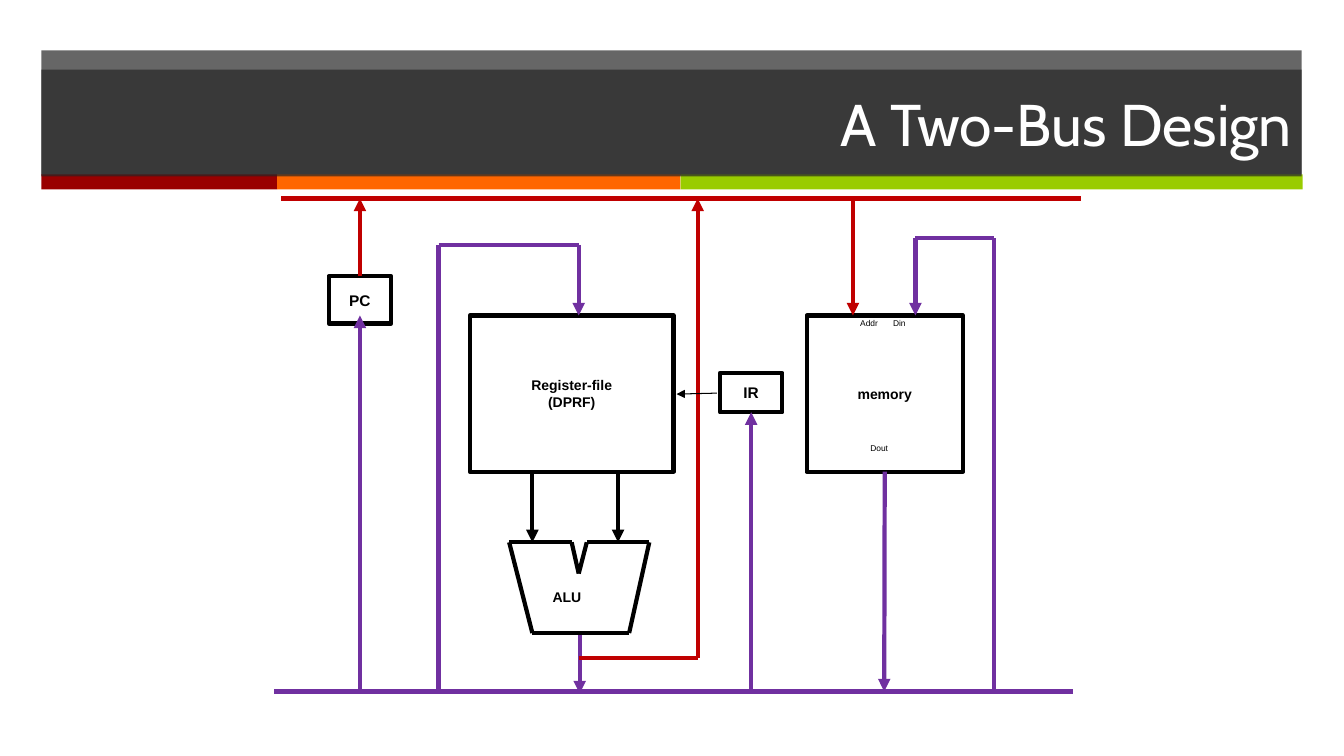
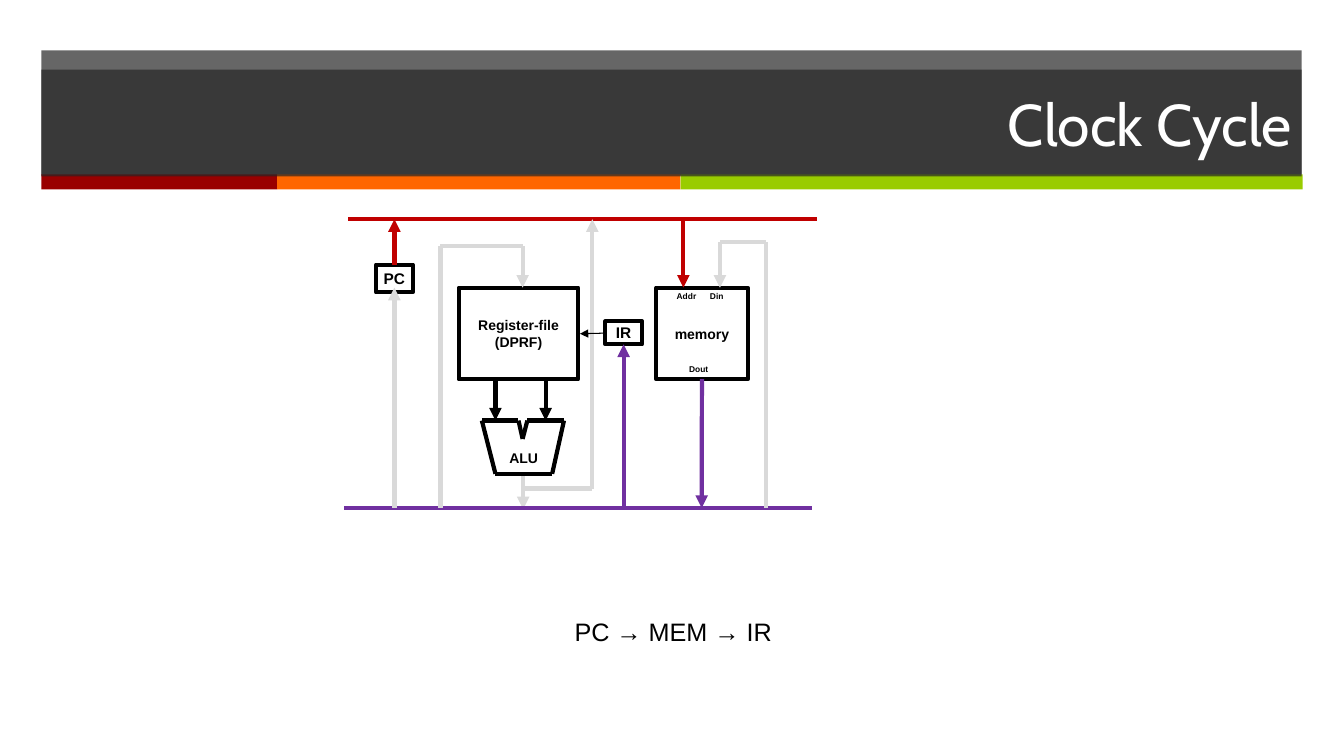
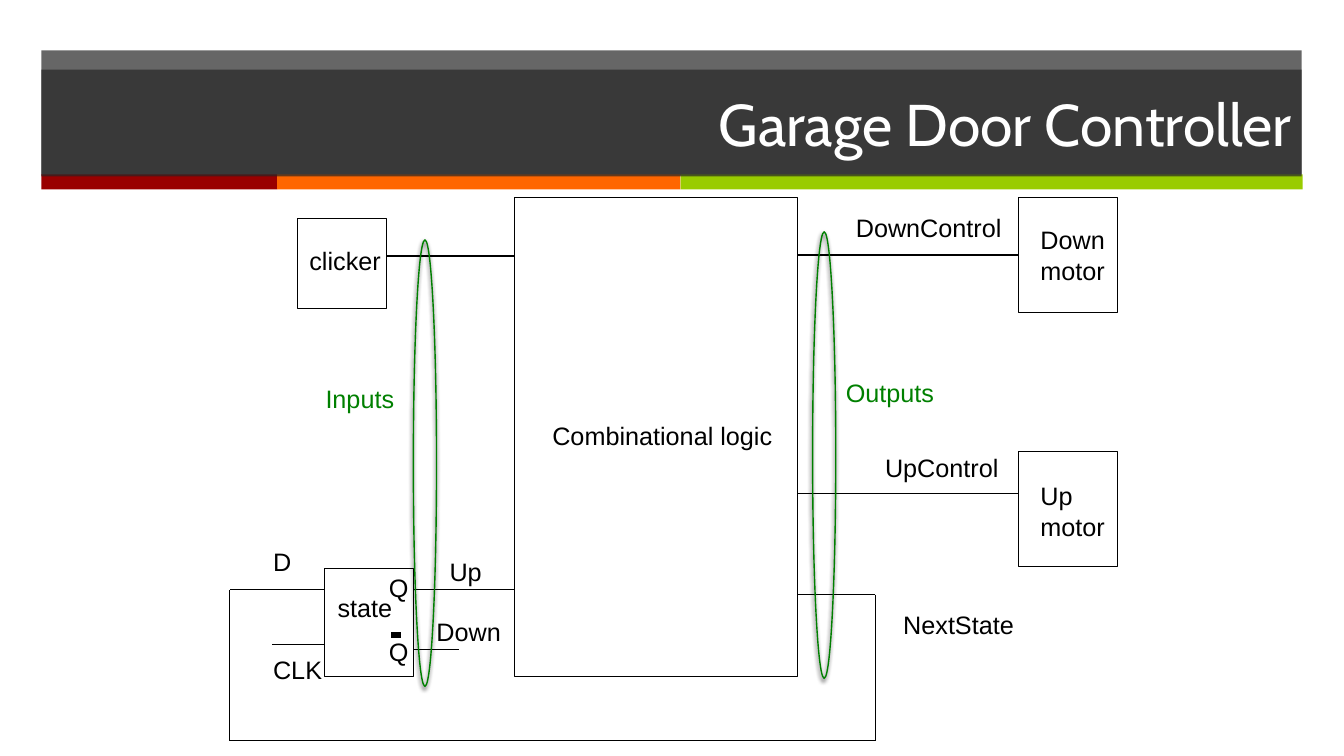
from lxml import etree
from pptx import Presentation
from pptx.dml.color import RGBColor
from pptx.enum.shapes import MSO_CONNECTOR, MSO_SHAPE
from pptx.enum.text import MSO_ANCHOR, MSO_AUTO_SIZE, PP_ALIGN
from pptx.oxml.ns import qn
from pptx.util import Inches, Pt

RECT, OVAL = MSO_SHAPE.RECTANGLE, MSO_SHAPE.OVAL
STRAIGHT = MSO_CONNECTOR.STRAIGHT
LEFT, CENTER, RIGHT = PP_ALIGN.LEFT, PP_ALIGN.CENTER, PP_ALIGN.RIGHT
TOP, MIDDLE = MSO_ANCHOR.TOP, MSO_ANCHOR.MIDDLE
GROW = MSO_AUTO_SIZE.SHAPE_TO_FIT_TEXT

BLACK = RGBColor(0x00, 0x00, 0x00)
WHITE = RGBColor(0xFF, 0xFF, 0xFF)
CHARCOAL = RGBColor(0x26, 0x26, 0x26)
DARK_RED = RGBColor(0x99, 0x00, 0x00)
ORANGE = RGBColor(0xFF, 0x66, 0x00)
LIME = RGBColor(0x99, 0xCC, 0x00)
RED = RGBColor(0xC0, 0x00, 0x00)
PURPLE = RGBColor(0x70, 0x30, 0xA0)
IDLE_GRAY = RGBColor(0xD9, 0xD9, 0xD9)
GREEN = RGBColor(0x00, 0x80, 0x00)

TITLE_FONT = {"name": "Cabin", "size": Pt(42)}
BODY_FONT = {"name": "Arial", "size": Pt(18)}
NARROW = {"margin_left": Inches(0.05), "margin_right": Inches(0.05),
          "margin_top": Inches(0.03), "margin_bottom": Inches(0.03)}


def add_box(s, at, text="", shape=None, fill=None, alpha=None, line=None, width=0.75,
            font=BODY_FONT, color=BLACK, align=LEFT, frame=None):
    """Add a preset shape, or a text box when no shape is given."""
    at = [Inches(v) for v in at]
    if shape is None:
        sp = s.shapes.add_textbox(*at)
    else:
        sp = s.shapes.add_shape(shape, *at)
        sp.shadow.inherit = False
        if fill is None:
            sp.fill.background()
        else:
            sp.fill.solid()
            sp.fill.fore_color.rgb = fill
        if alpha is not None:
            rgb = sp._element.spPr.find(".//" + qn("a:srgbClr"))
            etree.SubElement(rgb, qn("a:alpha"), val=str(alpha * 1000))
        if line is None:
            sp.line.fill.background()
        else:
            sp.line.color.rgb = line
            sp.line.width = Pt(width)
    if text:
        tf = sp.text_frame
        for key, value in (frame or {"word_wrap": False, "auto_size": GROW}).items():
            setattr(tf, key, value)
        for i, part in enumerate(text.split("\n")):
            p = tf.paragraphs[0] if i == 0 else tf.add_paragraph()
            p.alignment = align
            r = p.add_run()
            r.text = part
            for key, value in font.items():
                setattr(r.font, key, value)
            r.font.color.rgb = color
    return sp


def add_wire(s, points, color=BLACK, width=0.75, arrow=False, begin=None, end=None):
    """Draw a path of straight connectors; begin and end are (shape, site) joins."""
    last = len(points) - 2
    for i, ((x1, y1), (x2, y2)) in enumerate(zip(points, points[1:])):
        c = s.shapes.add_connector(STRAIGHT, Inches(x1), Inches(y1), Inches(x2), Inches(y2))
        c.line.color.rgb = color
        c.line.width = Pt(width)
        if arrow and i == last:
            etree.SubElement(c.line._get_or_add_ln(), qn("a:tailEnd"), type="triangle")
        etree.SubElement(c._element.spPr, qn("a:effectLst"))
        if begin and i == 0:
            c.begin_connect(*begin)
        if end and i == last:
            c.end_connect(*end)


prs = Presentation()
prs.slide_width, prs.slide_height = Inches(13.33), Inches(7.5)

# Shared header
slides = []
for title in ("A Two-Bus Design", "Clock Cycle", "Garage Door Controller"):
    s = prs.slides.add_slide(prs.slide_layouts[6])
    add_box(s, (0.41, 0.5, 12.5, 1.24), shape=RECT, fill=CHARCOAL, alpha=70)
    for x, w, color in ((0.41, 2.34, DARK_RED), (2.75, 4, ORANGE), (6.75, 6.17, LIME)):
        add_box(s, (x, 1.73, w, 0.15), shape=RECT, fill=color)
    add_box(s, (0.41, 0.69, 12.5, 1.06), title, RECT, CHARCOAL, 70, font=TITLE_FONT,
            color=WHITE, align=RIGHT, frame={"word_wrap": True, "vertical_anchor": MIDDLE})
    slides.append(s)
bus_slide, cycle_slide, garage_slide = slides

# Datapath, in the coordinates of the full-size diagram
units = {
    "PC": ((3.26, 2.74, 0.62, 0.47), 11),
    "memory": ((8, 3.13, 1.55, 1.55), 10),
    "IR": ((7.14, 3.7, 0.62, 0.39), 11),
    "Register-file\n(DPRF)": ((4.66, 3.13, 2.02, 1.55), 10),
}
# points, colour, arrow, used in the fetch cycle, begin join, end join
wires = [
    ([(5.28, 4.68), (5.28, 5.38)], BLACK, True, True, None, None),
    ([(6.13, 4.68), (6.13, 5.38)], BLACK, True, True, None, None),
    ([(5.75, 6.28), (5.75, 6.88)], PURPLE, True, False, None, None),
    ([(5.05, 5.38), (5.67, 5.38), (5.74, 5.69), (5.82, 5.38), (6.44, 5.38),
      (6.24, 6.28), (5.28, 6.28), (5.05, 5.38)], BLACK, False, True, None, None),
    ([(2.79, 1.97), (10.72, 1.97)], RED, False, True, None, None),
    ([(2.72, 6.86), (10.64, 6.86)], PURPLE, False, True, None, None),
    ([(3.57, 2.74), (3.57, 1.97)], RED, True, True, ("PC", 0), None),
    ([(8.46, 1.97), (8.46, 3.13)], RED, True, True, None, None),
    ([(9.86, 6.86), (9.86, 2.36), (9.08, 2.36), (9.08, 3.13)],
     PURPLE, True, False, None, None),
    ([(8.77, 4.68), (8.77, 6.86)], PURPLE, True, True, ("memory", 2), None),
    ([(3.57, 6.86), (3.57, 3.13)], PURPLE, True, False, None, None),
    ([(4.35, 6.86), (4.35, 2.43), (5.74, 2.43), (5.74, 3.13)],
     PURPLE, True, False, None, None),
    ([(7.45, 6.86), (7.45, 4.09)], PURPLE, True, True, None, ("IR", 2)),
    ([(5.74, 6.53), (6.92, 6.53), (6.92, 1.97)], RED, True, False, None, None),
]
# slide, scale, left and top offset, bold port names, show only the fetch cycle
views = [(bus_slide, 1, 0, 0, False, False), (cycle_slide, 0.586, 1.82, 1.02, True, True)]
for s, k, dx, dy, bold, fetch in views:
    boxes = {}
    for name, ((x, y, w, h), size) in units.items():
        boxes[name] = add_box(
            s, (dx + k * x, dy + k * y, k * w, k * h), name, RECT, WHITE, line=BLACK, width=3,
            font={"name": "Arial", "size": Pt(size), "bold": True}, align=CENTER,
            frame={"word_wrap": True, "vertical_anchor": MIDDLE, **NARROW})
    # Port names keep their text size, so their spacing does not scale
    for port, x, y, shift in (("Addr", 8.77, 3.13, -0.15), ("Din", 8.77, 3.13, 0.15),
                              ("Dout", 8.72, 4.37, 0)):
        add_box(s, (dx + k * x + shift - 0.15, dy + k * y, 0.3, 0.16), port,
                font={"name": "Arial", "size": Pt(6), "bold": bold}, align=CENTER,
                frame={"word_wrap": False, "vertical_anchor": TOP, **NARROW})
    add_box(s, (dx + k * 5.43, dy + k * 5.81, k * 0.78, k * 0.37), "ALU",
            font={"name": "Arial", "size": Pt(10), "bold": True},
            frame={"word_wrap": True, **NARROW})
    for points, color, arrow, used, begin, end in wires:
        add_wire(s, [(dx + k * x, dy + k * y) for x, y in points],
                 IDLE_GRAY if fetch and not used else color, 3, arrow,
                 begin and (boxes[begin[0]], begin[1]), end and (boxes[end[0]], end[1]))
    add_wire(s, [(dx + k * 7.11, dy + k * 3.9), (dx + k * 6.71, dy + k * 3.91)], arrow=True)

add_box(cycle_slide, (5.6, 6.07, 2.24, 0.4), "PC → MEM → IR")

# Garage door controller
s = garage_slide
for at in ((2.95, 2.17, 0.88, 0.89), (3.22, 5.64, 0.88, 1.07), (5.1, 1.96, 2.81, 4.75),
           (10.1, 4.48, 0.98, 1.14)):
    add_box(s, at, shape=RECT, line=BLACK)
down_motor = add_box(s, (10.1, 1.96, 0.98, 1.14), shape=RECT, line=BLACK)

add_wire(s, [(7.91, 2.53), (10.1, 2.53)], end=(down_motor, 1))
for points in (
    [(3.83, 2.54), (5.1, 2.54)],
    [(7.91, 4.9), (10.1, 4.9)],
    [(4.1, 5.85), (5.1, 5.85)],
    [(4.11, 6.44), (4.55, 6.44)],
    [(2.7, 6.39), (3.22, 6.39)],
    [(7.91, 5.9), (8.68, 5.9), (8.68, 7.35), (2.28, 7.35), (2.28, 5.85), (3.22, 5.85)],
):
    add_wire(s, points)
add_wire(s, [(3.88, 6.3), (3.98, 6.3)], width=4.5)

for text, x, y, w, h, color in (
    ("clicker", 2.97, 2.38, 0.92, 0.4, BLACK),
    ("state", 3.25, 5.83, 0.75, 0.4, BLACK),
    ("CLK", 2.61, 6.44, 0.69, 0.4, BLACK),
    ("D", 2.61, 5.37, 0.38, 0.4, BLACK),
    ("Combinational logic", 5.38, 4.12, 2.4, 0.4, BLACK),
    ("Down\nmotor", 10.22, 2.18, 0.85, 0.71, BLACK),
    ("Up\nmotor", 10.22, 4.72, 0.85, 0.71, BLACK),
    ("DownControl", 8.39, 2.06, 1.66, 0.4, BLACK),
    ("UpControl", 8.68, 4.44, 1.34, 0.4, BLACK),
    ("NextState", 8.86, 6, 1.31, 0.4, BLACK),
    ("Up", 4.36, 5.47, 0.52, 0.4, BLACK),
    ("Down", 4.23, 6.07, 0.85, 0.4, BLACK),
    ("Q", 3.76, 5.63, 0.4, 0.4, BLACK),
    ("Q", 3.76, 6.26, 0.4, 0.4, BLACK),
    ("Inputs", 3.13, 3.75, 0.89, 0.4, GREEN),
    ("Outputs", 8.29, 3.69, 1.09, 0.4, GREEN),
):
    add_box(s, (x, y, w, h), text, color=color)

for x, y in ((4.1, 2.38), (8.06, 2.3)):
    ring = add_box(s, (x, y, 0.23, 4.43), shape=OVAL, line=GREEN, width=1)
    effects = ring._element.spPr.find(qn("a:effectLst"))
    shadow = etree.SubElement(effects, qn("a:outerShdw"), blurRad=str(Pt(3)),
                              dist=str(Pt(2)), dir="6600000", rotWithShape="0")
    rgb = etree.SubElement(shadow, qn("a:srgbClr"), val=str(BLACK))
    etree.SubElement(rgb, qn("a:alpha"), val="75000")

prs.save("out.pptx")
